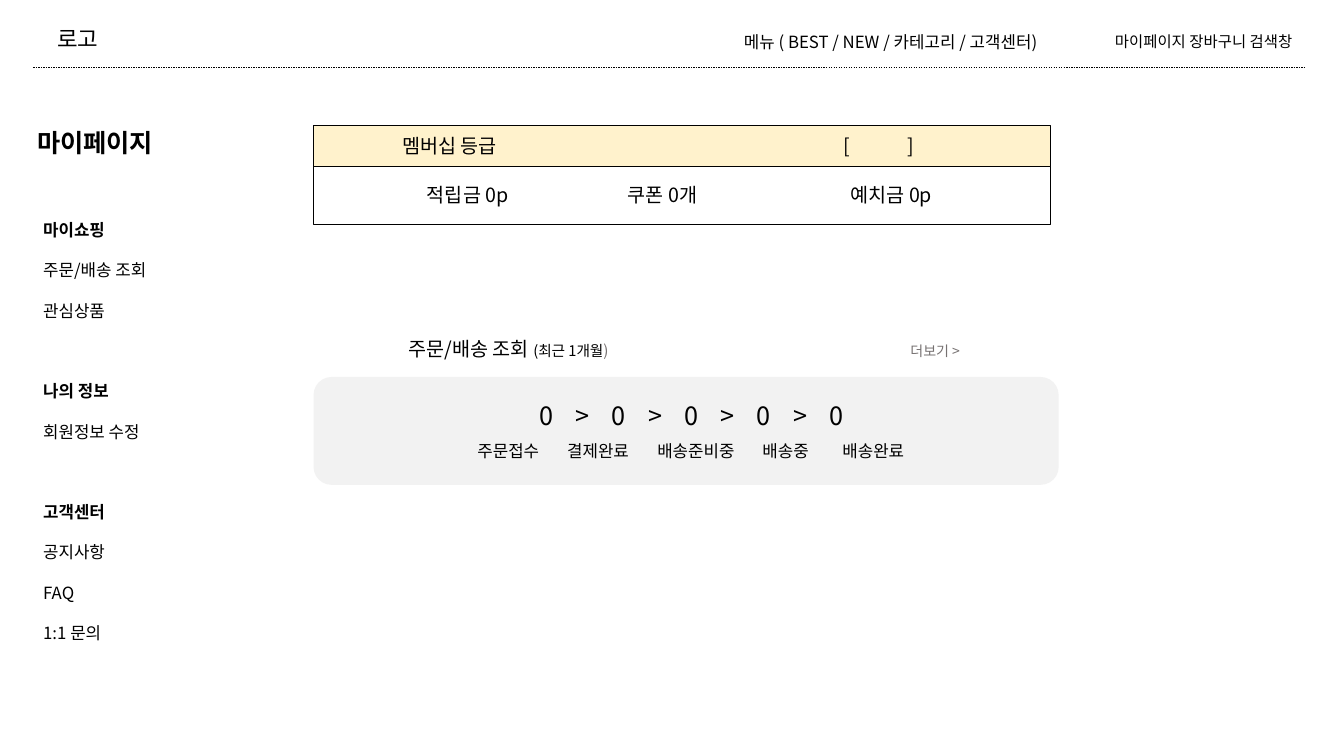
from dataclasses import dataclass

import pptx
import pptx.dml.color
import pptx.enum.dml
import pptx.enum.shapes
import pptx.enum.text
import pptx.oxml
import pptx.oxml.ns
import pptx.util
from pptx.util import Inches

FONT = "Noto Sans CJK KR"
BLACK = "000000"
GRAY = "767171"
RECT = pptx.enum.shapes.MSO_SHAPE.RECTANGLE
ROUNDED = pptx.enum.shapes.MSO_SHAPE.ROUNDED_RECTANGLE


@dataclass
class Span:
    text: str
    size: float = 12
    bold: bool = False
    color: str = BLACK


@dataclass
class Line:
    spans: list[Span]
    tabs: tuple[float, ...] = ()
    tab_align: str = "ctr"
    spacing: float = 1
    before: float = 0


@dataclass
class Block:
    left: float
    top: float
    width: float
    height: float
    lines: list[Line]
    fill: str = ""
    outline: str = ""
    kind: int = RECT


def rgb(hex_color: str) -> pptx.dml.color.RGBColor:
    return pptx.dml.color.RGBColor.from_string(hex_color)


def add_text(paragraph, text: str, *, size: float, bold: bool, color: str) -> None:
    run = paragraph.add_run()
    run.text = text
    run.font.name = FONT
    run.font.size = pptx.util.Pt(size)
    run.font.bold = bold
    run.font.color.rgb = rgb(color)
    east_asian = pptx.oxml.ns.qn("a:ea")
    run.font._element.get_or_add_latin().addnext(
        run.font._element.makeelement(east_asian, {"typeface": FONT}))


def add_tabs(paragraph, tabs: tuple[float, ...], align: str) -> None:
    stops = "".join(f'<a:tab pos="{Inches(tab)}" algn="{align}"/>' for tab in tabs)
    namespace = pptx.oxml.ns.nsdecls("a")
    paragraph._p.get_or_add_pPr().append(
        pptx.oxml.parse_xml(f"<a:tabLst {namespace}>{stops}</a:tabLst>"))


def draw_block(slide, block: Block) -> None:
    place = [Inches(n) for n in (block.left, block.top, block.width, block.height)]
    if block.fill:
        shape = slide.shapes.add_shape(block.kind, *place)
        shape.shadow.inherit = False
        shape.fill.solid()
        shape.fill.fore_color.rgb = rgb(block.fill)
        if block.outline:
            shape.line.color.rgb = rgb(block.outline)
            shape.line.width = pptx.util.Pt(0.25)
        else:
            shape.line.fill.background()
    else:
        shape = slide.shapes.add_textbox(*place)
    frame = shape.text_frame
    frame.word_wrap = True
    if block.fill:
        frame.vertical_anchor = pptx.enum.text.MSO_ANCHOR.MIDDLE
    if block.lines[0].tabs:
        frame.margin_left = frame.margin_right = 0
    for index, line in enumerate(block.lines):
        paragraph = frame.add_paragraph() if index else frame.paragraphs[0]
        paragraph.alignment = pptx.enum.text.PP_ALIGN.LEFT
        paragraph.line_spacing = line.spacing
        paragraph.space_before = pptx.util.Pt(line.before)
        if line.tabs:
            add_tabs(paragraph, line.tabs, line.tab_align)
        for span in line.spans:
            add_text(paragraph, span.text, size=span.size, bold=span.bold, color=span.color)


def draw_divider(slide) -> None:
    divider = slide.shapes.add_connector(
        pptx.enum.shapes.MSO_CONNECTOR.STRAIGHT,
        Inches(0.33), Inches(0.67), Inches(12.95), Inches(0.67))
    divider.line.color.rgb = rgb(BLACK)
    divider.line.width = pptx.util.Pt(0.25)
    divider.line.dash_style = pptx.enum.dml.MSO_LINE.DASH
    divider._element.spPr.append(
        pptx.oxml.parse_xml(f"<a:effectLst {pptx.oxml.ns.nsdecls('a')}/>"))


def tabbed(cells: list[str]) -> str:
    return "".join(f"\t{cell}" for cell in cells)


def sidebar_lines() -> list[Line]:
    menu = {
        "마이쇼핑": ["주문/배송 조회", "관심상품"],
        "나의 정보": ["회원정보 수정"],
        "고객센터": ["공지사항", "FAQ", "1:1 문의"],
    }
    lines: list[Line] = []
    for heading, entries in menu.items():
        gap = 28.8 if lines else 0
        lines.append(Line([Span(heading, bold=True)], spacing=2, before=gap))
        lines += [Line([Span(entry)], spacing=2) for entry in entries]
    return lines


def main() -> None:
    presentation = pptx.Presentation()
    presentation.slide_width = Inches(13.33)
    presentation.slide_height = Inches(7.5)
    slide = presentation.slides.add_slide(presentation.slide_layouts[6])

    panel_left, panel_width = 3.11, 7.39
    counts = ["0", ">", "0", ">", "0", ">", "0", ">", "0"]
    count_tabs = tuple(panel_width / 2 + 0.36 * (i - 4) for i in range(len(counts)))
    stages = ["주문접수", "결제완료", "배송준비중", "배송중", "배송완료"]
    benefits = ["적립금 0p", "쿠폰 0개", "예치금 0p"]
    membership = ["멤버십 등급", "[", "]"]

    blocks = [
        Block(0.47, 0.2, 0.91, 0.37, [Line([Span("로고", 16)])]),
        Block(7.28, 0.27, 3.58, 0.3, [Line([Span("메뉴 ( BEST / NEW / 카테고리 / 고객센터)")])]),
        Block(10.96, 0.27, 2.37, 0.29, [Line([Span("마이페이지 장바구니 검색창", 11)])]),
        Block(panel_left, 1.65, 7.31, 0.57,
              [Line([Span(tabbed(benefits), 14)], (1.53, 3.46, 5.73))], "FFFFFF", BLACK),
        Block(panel_left, 1.24, 7.31, 0.41,
              [Line([Span(tabbed(membership), 14)], (1.35, 5.29, 5.92))], "FFF2CC", BLACK),
        Block(0.27, 1.21, 1.58, 0.4, [Line([Span("마이페이지", 18, True)])]),
        Block(0.33, 1.93, 1.58, 4.8, sidebar_lines()),
        Block(panel_left, 3.74, panel_width, 1.07,
              [Line([Span(tabbed(counts), 18)], count_tabs),
               Line([Span(tabbed(stages))], (1.88, 2.77, 3.74, 4.63, 5.5), before=7)],
              "F2F2F2", kind=ROUNDED),
        Block(panel_left, 3.29, panel_width, 0.34,
              [Line([Span("\t주문/배송 조회 ", 14), Span("(최근 1개월", 10.5),
                     Span(")\t", 11, color=GRAY), Span("더보기 >", 10, color=GRAY)],
                    (0.94, 5.92), "l")]),
    ]
    draw_divider(slide)
    for block in blocks:
        draw_block(slide, block)
    presentation.save("out.pptx")


if __name__ == "__main__":
    main()
